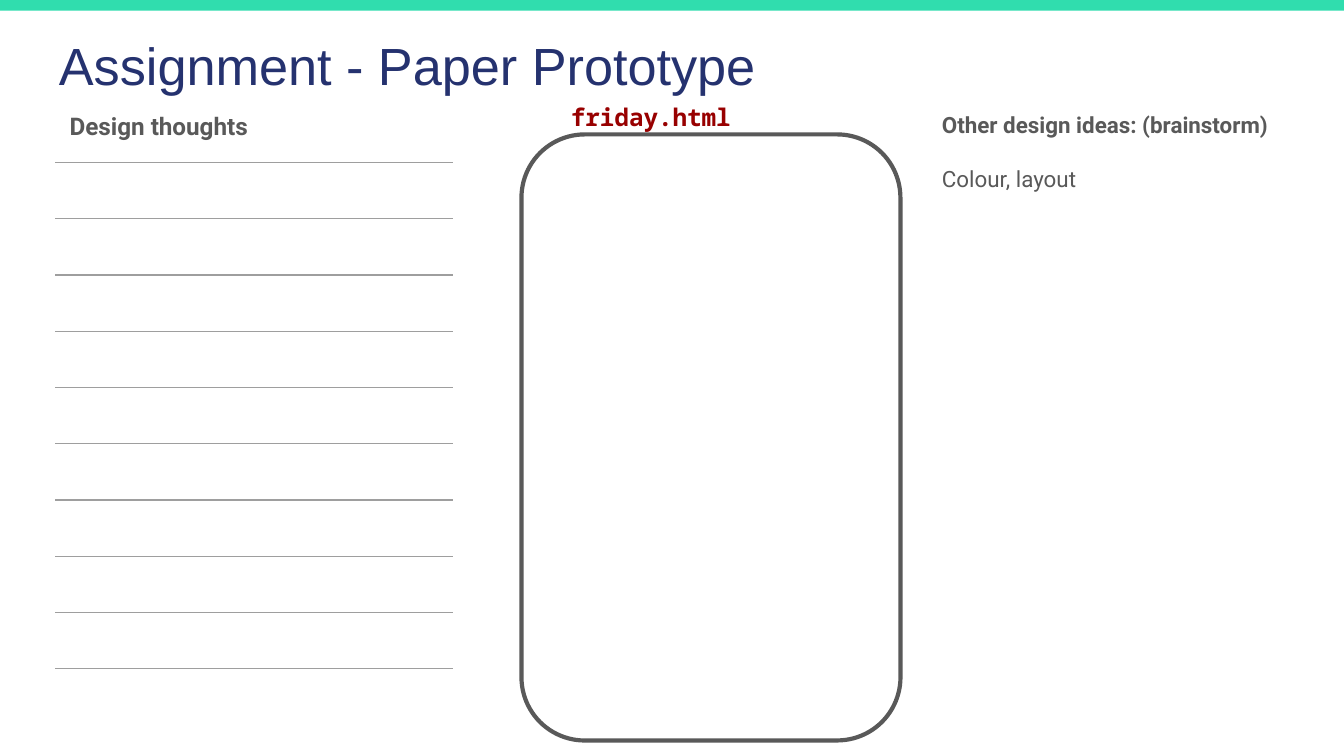
from dataclasses import dataclass

from lxml.etree import SubElement
from pptx import Presentation
from pptx.dml.color import RGBColor as RGB
from pptx.enum.shapes import MSO_SHAPE as Shape
from pptx.enum.text import MSO_ANCHOR as Anchor
from pptx.oxml.ns import qn
from pptx.util import Inches, Pt


@dataclass(frozen=True)
class Theme:
    accent: str = "30DDAE"
    title: str = "25326F"
    body: str = "595959"
    code: str = "980000"
    rule: str = "9E9E9E"
    title_font: str = "Arial"
    body_font: str = "Roboto"
    code_font: str = "Noto Sans Mono"
    title_size: float = 28
    label_size: float = 13
    body_size: float = 12
    frame_width: float = 2.25
    rule_width: float = 0.75


THEME = Theme()
COLS, ROWS = 100, 56.25
UNIT = Inches(0.1)
NOTE_LINES = 9


def grid(*cells):
    return [round(c * UNIT) for c in cells]


def add_text(s, box, lines, font, size, color, bold=True, gap=0):
    tf = s.shapes.add_textbox(*grid(*box)).text_frame
    tf.word_wrap = True
    tf.vertical_anchor = Anchor.TOP
    tf.margin_left, tf.margin_top, tf.margin_right, tf.margin_bottom = grid(1, 1, 1, 1)
    for i, line in enumerate(lines):
        p = tf.paragraphs[0] if i == 0 else tf.add_paragraph()
        p.text = line
        p.font.name, p.font.size = font, Pt(size)
        p.font.bold = bold and i == 0
        p.font.color.rgb = RGB.from_string(color)
        if i:
            p.space_before = Pt(gap)


def add_shape(s, kind, box, fill=None, line=None):
    sp = s.shapes.add_shape(kind, *grid(*box))
    sp.shadow.inherit = False
    if fill:
        sp.fill.solid()
        sp.fill.fore_color.rgb = RGB.from_string(fill)
    else:
        sp.fill.background()
    if line:
        sp.line.color.rgb = RGB.from_string(line)
        sp.line.width = Pt(THEME.frame_width)
    else:
        sp.line.fill.background()
    return sp


def set_borders(cell):
    tc_pr = cell._tc.get_or_add_tcPr()
    for side in "LRTB":
        ln = SubElement(tc_pr, qn(f"a:ln{side}"), w=str(Pt(THEME.rule_width)))
        if side in "LR":
            SubElement(ln, qn("a:noFill"))
        else:
            fill = SubElement(ln, qn("a:solidFill"))
            SubElement(fill, qn("a:srgbClr"), val=THEME.rule)


def add_ruled_lines(s, box, count):
    table = s.shapes.add_table(count, 1, *grid(*box)).table
    table.first_row = table.horz_banding = False
    for cell in table.iter_cells():
        set_borders(cell)
        cell.fill.background()
        cell.text_frame.paragraphs[0].font.size = Pt(THEME.body_size)


def main():
    t = THEME
    prs = Presentation()
    prs.slide_width, prs.slide_height = grid(COLS, ROWS)
    s = prs.slides.add_slide(prs.slide_layouts[6])

    add_text(s, (3.4, 1.5, 93.2, 6.3), ["Assignment - Paper Prototype"],
             t.title_font, t.title_size, t.title, bold=False)
    add_shape(s, Shape.RECTANGLE, (-0.1, 0, COLS + 0.2, 0.8), fill=t.accent)
    screen = add_shape(s, Shape.ROUNDED_RECTANGLE, (38.8, 10, 28.2, 45.1), line=t.body)
    screen.adjustments[0] = 0.167
    add_ruled_lines(s, (4.1, 12.1, 29.6, 37.7), NOTE_LINES)

    add_text(s, (4.2, 7.3, 29.3, 4.2), ["Design thoughts"],
             t.body_font, t.label_size, t.body)
    add_text(s, (69.1, 7.3, 29.3, 12.5),
             ["Other design ideas: (brainstorm)", "Colour, layout"],
             t.body_font, t.body_size, t.body, gap=14.5)
    add_text(s, (41.5, 6.6, 29.3, 4.2), ["friday.html"],
             t.code_font, t.label_size, t.code)

    prs.save("out.pptx")


if __name__ == "__main__":
    main()
